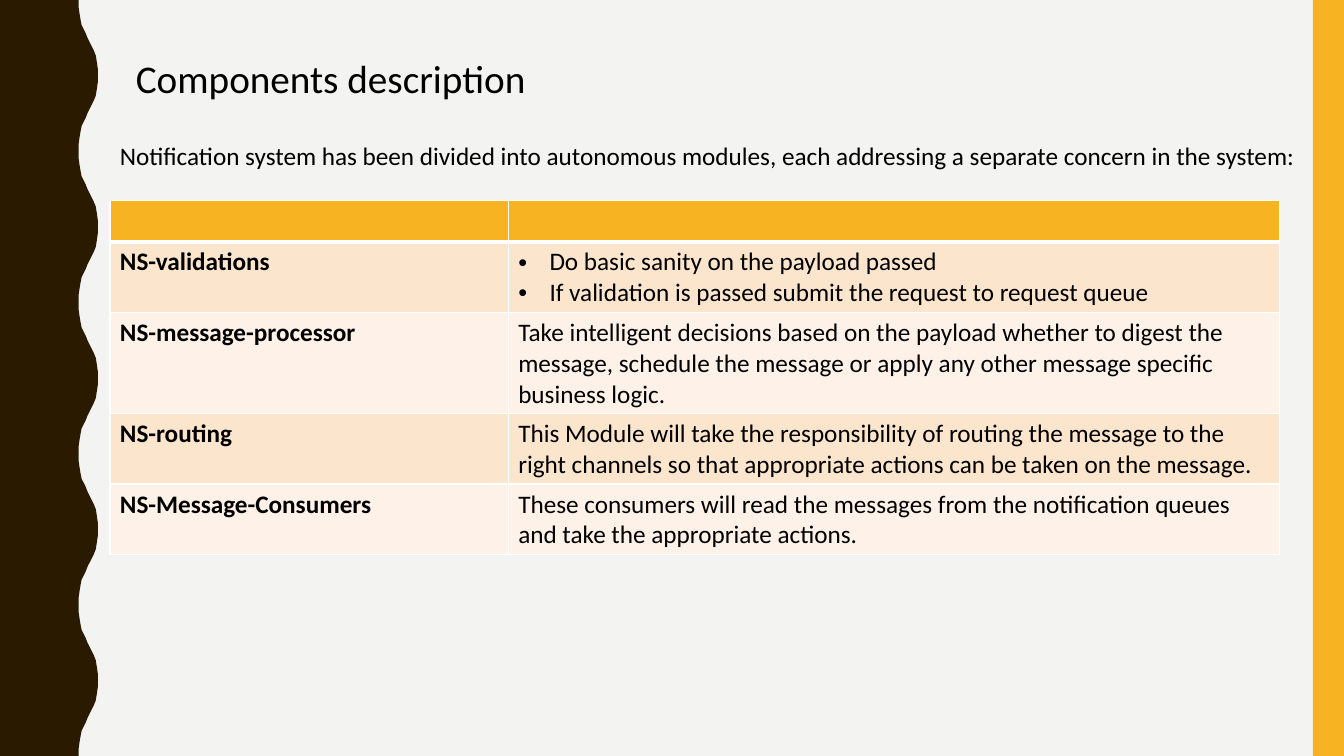
from lxml.etree import SubElement
from pptx import Presentation
from pptx.dml.color import RGBColor
from pptx.enum.shapes import MSO_SHAPE
from pptx.enum.text import MSO_AUTO_SIZE
from pptx.oxml.ns import qn
from pptx.util import Inches, Pt

COLORS = {
    "background": "F3F3F2", "wave": "2A1A00", "accent": "F8B323",
    "text": "000000", "border": "FFFFFF", "odd": "FCE5CD", "even": "FEF2E8",
}
FONT = "Calibri"
TITLE = "Components description"
INTRO = ("Notification system has been divided into autonomous modules, "
         "each addressing a separate concern in the system:")
COMPONENTS = [
    ("NS-validations", ["Do basic sanity on the payload passed",
                        "If validation is passed submit the request to request queue"]),
    ("NS-message-processor", ["Take intelligent decisions based on the payload whether to digest the "
                              "message, schedule the message or apply any other message specific "
                              "business logic."]),
    ("NS-routing", ["This Module will take the responsibility of routing the message to the "
                    "right channels so that appropriate actions can be taken on the message."]),
    ("NS-Message-Consumers", ["These consumers will read the messages from the notification queues "
                              "and take the appropriate actions."]),
]
COLUMN_WIDTHS = [3.95, 7.65]
ROW_HEIGHTS = [0.41, 0.7, 1.0, 0.7, 0.7]
WAVE_COUNT, WAVE_LENGTH = 5, 1.5
HALF_WAVE = [
    (0.78, 0), (0.78, 0.07), (0.79, 0.14), (0.8, 0.2), (0.81, 0.25),
    (0.83, 0.29), (0.85, 0.33), (0.87, 0.38), (0.89, 0.42), (0.91, 0.46),
    (0.93, 0.5), (0.95, 0.55), (0.96, 0.61), (0.97, 0.68), (0.97, 0.75),
]


def paint(fill, name):
    fill.solid()
    fill.fore_color.rgb = RGBColor.from_string(COLORS[name])


def finish_shape(shape, color):
    paint(shape.fill, color)
    shape.line.fill.background()
    shape.shadow.inherit = False


def write(para, text, size=18, bold=False, bullet=False):
    span = para.add_run()
    span.text = text
    span.font.name = FONT
    span.font.size = Pt(size)
    span.font.bold = bold
    span.font.color.rgb = RGBColor.from_string(COLORS["text"])
    if bullet:
        properties = para._p.get_or_add_pPr()
        properties.set("marL", str(Inches(0.31)))
        properties.set("indent", str(-Inches(0.31)))
        SubElement(properties, qn("a:buFont"), typeface="Arial")
        SubElement(properties, qn("a:buChar"), char="•")


def add_text(page, text, left, top, width, height, size):
    box = page.shapes.add_textbox(Inches(left), Inches(top), Inches(width), Inches(height))
    box.text_frame.word_wrap = False
    box.text_frame.auto_size = MSO_AUTO_SIZE.SHAPE_TO_FIT_TEXT
    write(box.text_frame.paragraphs[0], text, size=size)


def add_wave(page):
    wave = HALF_WAVE + [(x, WAVE_LENGTH - y) for x, y in HALF_WAVE[-2::-1]]
    edge = [(x, y + number * WAVE_LENGTH) for number in range(WAVE_COUNT) for x, y in wave]
    outline = [(Inches(x), Inches(y)) for x, y in edge + [(0, WAVE_COUNT * WAVE_LENGTH)]]
    builder = page.shapes.build_freeform(0, 0, scale=1.0)
    builder.add_line_segments(outline, close=True)
    finish_shape(builder.convert_to_shape(), "wave")


def style_cell(cell, color, top, bottom):
    properties = cell._tc.get_or_add_tcPr()
    for side, width in (("L", 1), ("R", 1), ("T", top), ("B", bottom)):
        border = SubElement(properties, qn("a:ln" + side), w=str(Pt(width)))
        fill = SubElement(border, qn("a:solidFill"))
        SubElement(fill, qn("a:srgbClr"), val=COLORS["border"])
    paint(cell.fill, color)


def add_component_table(page):
    table = page.shapes.add_table(
        len(ROW_HEIGHTS), len(COLUMN_WIDTHS), Inches(1.09), Inches(1.99),
        Inches(sum(COLUMN_WIDTHS)), Inches(sum(ROW_HEIGHTS))).table
    for column, width in zip(table.columns, COLUMN_WIDTHS):
        column.width = Inches(width)
    rows = [([], [])] + [([name], lines) for name, lines in COMPONENTS]
    for row, (height, contents) in enumerate(zip(ROW_HEIGHTS, rows)):
        table.rows[row].height = Inches(height)
        color = "accent" if row == 0 else ("even", "odd")[row % 2]
        for column, lines in enumerate(contents):
            cell = table.cell(row, column)
            style_cell(cell, color, top=3 if row == 1 else 1, bottom=3 if row == 0 else 1)
            frame = cell.text_frame
            for number, line in enumerate(lines):
                para = frame.add_paragraph() if number else frame.paragraphs[0]
                write(para, line, bold=column == 0, bullet=len(lines) > 1)


def main():
    deck = Presentation()
    deck.slide_width, deck.slide_height = Inches(13.33), Inches(7.5)
    page = deck.slides.add_slide(deck.slide_layouts[6])
    paint(page.background.fill, "background")
    add_wave(page)
    stripe = page.shapes.add_shape(
        MSO_SHAPE.RECTANGLE, Inches(13.02), 0, Inches(0.31), Inches(7.5))
    finish_shape(stripe, "accent")
    add_text(page, TITLE, 1.25, 0.49, 4.17, 0.57, size=28)
    add_text(page, INTRO, 1.09, 1.34, 11.9, 1.31, size=18)
    add_component_table(page)
    deck.save("out.pptx")


if __name__ == "__main__":
    main()
